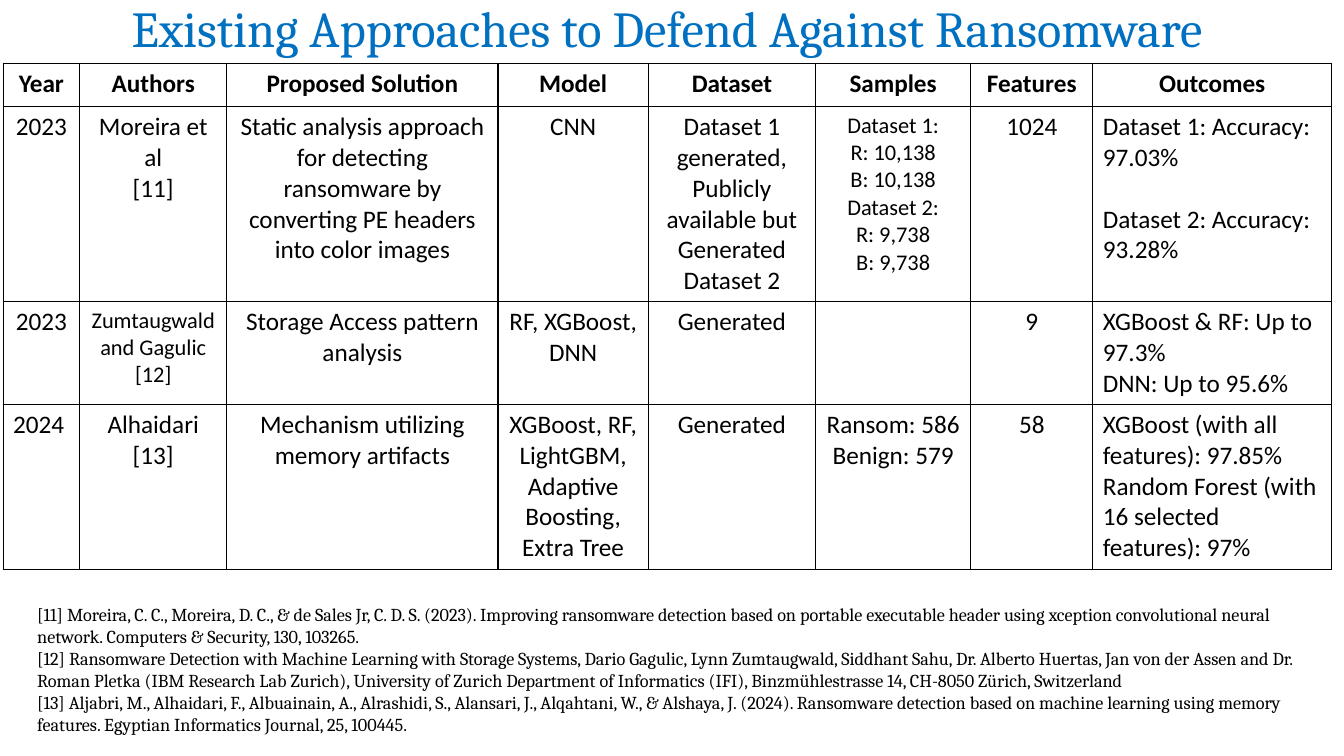
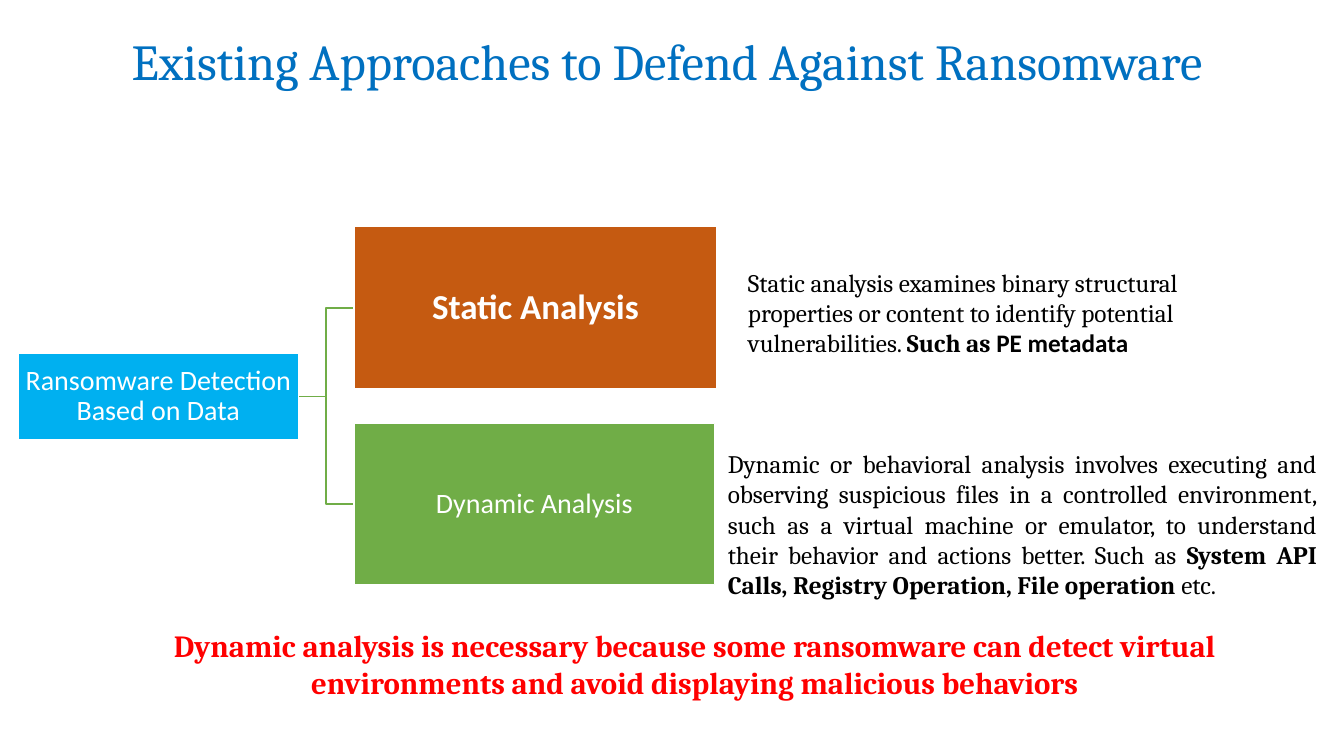
from lxml import etree
from pptx import Presentation
from pptx.dml.color import RGBColor
from pptx.enum.shapes import MSO_CONNECTOR, MSO_SHAPE
from pptx.enum.text import MSO_ANCHOR, PP_ALIGN
from pptx.oxml.ns import qn
from pptx.util import Emu, Inches, Pt

LEFT, CENTER, JUSTIFY = PP_ALIGN.LEFT, PP_ALIGN.CENTER, PP_ALIGN.JUSTIFY
TOP, MIDDLE, BOTTOM = MSO_ANCHOR.TOP, MSO_ANCHOR.MIDDLE, MSO_ANCHOR.BOTTOM
ELBOW, RECT = MSO_CONNECTOR.ELBOW, MSO_SHAPE.RECTANGLE

BLACK, WHITE, RED = "000000", "FFFFFF", "FF0000"
BLUE, SKY, ORANGE, GREEN = "0070C0", "00B0F0", "C55A11", "70AD47"
SERIF, SANS = "Cambria", "Calibri"
TITLE = "Existing Approaches to Defend Against Ransomware"

prs = Presentation()
prs.slide_width, prs.slide_height = Inches(13.33), Inches(7.5)


def area(*shares):
    """Turn percentages of the slide's width and height into lengths."""
    sides = (prs.slide_width, prs.slide_height) * 2
    return [Emu(round(share * side / 100)) for share, side in zip(shares, sides)]


def write(tf, paras, size, font=SERIF, color=BLACK, align=LEFT, bold=False,
          anchor=TOP, spacing=None):
    """Fill a text frame; a paragraph is a string or a list of (text, bold, font)."""
    tf.word_wrap = True
    tf.vertical_anchor = anchor
    for i, para in enumerate(paras):
        p = tf.paragraphs[0] if i == 0 else tf.add_paragraph()
        p.alignment = align
        p.line_spacing = spacing
        runs = [(para, bold, font)] if isinstance(para, str) else para
        for text, run_bold, run_font in runs:
            r = p.add_run()
            r.text = text
            r.font.bold, r.font.name = run_bold, run_font
        p.font.size = Pt(size)
        for r in p.runs:
            r.font.size = Pt(size)
            r.font.color.rgb = RGBColor.from_string(color)


# Both slides: title only, at its own height
slides = []
for title_top in (0, 4.4):
    s = prs.slides.add_slide(prs.slide_layouts[6])
    tf = s.shapes.add_textbox(*area(3.53, title_top, 92.2, 8.4)).text_frame
    write(tf, [TITLE], 36, color=BLUE, align=CENTER, anchor=BOTTOM, spacing=0.9)
    slides.append(s)
table_slide, tree_slide = slides

# Table of approaches: one list of paragraphs per cell
cols = [5.7, 10.95, 20.18, 11.18, 12.45, 11.55, 9.08, 17.78]
rows = [5.73, 25.8, 13.6, 21.8]
cells = [
    [["Year"], ["Authors"], ["Proposed Solution"], ["Model"], ["Dataset"],
     ["Samples"], ["Features"], ["Outcomes"]],
    [["2023"], ["Moreira et al", "[11]"],
     ["Static analysis approach for detecting ransomware by converting PE headers "
      "into color images"],
     ["CNN"],
     ["Dataset 1 generated, Publicly available but Generated Dataset 2"],
     ["Dataset 1:", "R: 10,138", "B: 10,138", "Dataset 2:", "R: 9,738", "B: 9,738"],
     ["1024"],
     ["Dataset 1: Accuracy: 97.03%", "Dataset 2: Accuracy: 93.28%"]],
    [["2023"], ["Zumtaugwald and Gagulic [12]"], ["Storage Access pattern analysis"],
     ["RF, XGBoost,", "DNN"], ["Generated"], [], ["9"],
     ["XGBoost & RF: Up to 97.3%", "DNN: Up to 95.6%"]],
    [["2024"], ["Alhaidari", "[13]"], ["Mechanism utilizing memory artifacts"],
     ["XGBoost, RF, LightGBM, Adaptive Boosting, Extra Tree"], ["Generated"],
     ["Ransom: 586", "Benign: 579"], ["58"],
     ["XGBoost (with all features): 97.85%",
      "Random Forest (with 16 selected features): 97%"]],
]
small = {(1, 5), (2, 1)}
left_aligned = {(1, 7), (2, 7), (3, 7), (3, 0)}

table = table_slide.shapes.add_table(
    len(rows), len(cols), *area(0.23, 8.4, sum(cols), sum(rows))).table
table.first_row = table.horz_banding = False
for col, share in zip(table.columns, cols):
    col.width = area(share)[0]
for row, share in zip(table.rows, rows):
    row.height = area(0, share)[1]
for i, row_cells in enumerate(cells):
    for j, paras in enumerate(row_cells):
        cell = table.cell(i, j)
        write(cell.text_frame, paras, 16 if (i, j) in small else 18, SANS,
              align=LEFT if (i, j) in left_aligned else CENTER, bold=i == 0)
        tcPr = cell._tc.get_or_add_tcPr()
        for side in ("a:lnL", "a:lnR", "a:lnT", "a:lnB"):
            ln = etree.SubElement(tcPr, qn(side), w=str(Pt(1)))
            fill = etree.SubElement(ln, qn("a:solidFill"))
            etree.SubElement(fill, qn("a:srgbClr"), val=BLACK)
        cell.fill.background()
# One line of room between the two data sets' outcomes
table.cell(1, 7).text_frame.paragraphs[1].space_before = Pt(22)

# References
tf = table_slide.shapes.add_textbox(*area(2.03, 79.2, 97.97, 18.8)).text_frame
write(tf, [
    "[11] Moreira, C. C., Moreira, D. C., & de Sales Jr, C. D. S. (2023). Improving "
    "ransomware detection based on portable executable header using xception "
    "convolutional neural network. Computers & Security, 130, 103265.",
    "[12] Ransomware Detection with Machine Learning with Storage Systems, Dario "
    "Gagulic, Lynn Zumtaugwald, Siddhant Sahu, Dr. Alberto Huertas, Jan von der Assen "
    "and Dr. Roman Pletka (IBM Research Lab Zurich), University of Zurich Department "
    "of Informatics (IFI), Binzmühlestrasse 14, CH-8050 Zürich, Switzerland",
    "[13] Aljabri, M., Alhaidari, F., Albuainain, A., Alrashidi, S., Alansari, J., "
    "Alqahtani, W., & Alshaya, J. (2024). Ransomware detection based on machine "
    "learning using memory features. Egyptian Informatics Journal, 25, 100445.",
], 13)

# Tree: elbow lines from the root to each branch
for branch_middle in (66.67, 40.73):
    line = tree_slide.shapes.add_connector(
        ELBOW, *area(22.2, 52.47, 26.33, branch_middle))
    line.line.color.rgb = RGBColor.from_string(GREEN)
    line.line.width = Pt(1)
    etree.SubElement(line._element.spPr, qn("a:effectLst"))

# Tree: root and branches
for text, at, fill, size, bold in (
    ("Ransomware Detection Based on Data", (1.35, 46.8, 20.86, 11.33), SKY, 20, False),
    ("Static Analysis", (26.33, 30, 27.01, 21.47), ORANGE, 25, True),
    ("Dynamic Analysis", (26.33, 56, 26.86, 21.33), GREEN, 20, False),
):
    sp = tree_slide.shapes.add_shape(RECT, *area(*at))
    sp.shadow.inherit = False
    sp.fill.solid()
    sp.fill.fore_color.rgb = RGBColor.from_string(fill)
    sp.line.color.rgb = RGBColor.from_string(WHITE)
    sp.line.width = Pt(1)
    tf = sp.text_frame
    tf.margin_left = tf.margin_right = tf.margin_top = tf.margin_bottom = Inches(0.01)
    write(tf, [text], size, SANS, WHITE, CENTER, bold, MIDDLE, 0.9)

# Explanations beside the branches, and the conclusion
static_note = [
    ("Static analysis examines binary structural properties or content to identify "
     "potential vulnerabilities. ", False, SERIF),
    ("Such as ", True, SERIF),
    ("PE metadata", True, SANS),
]
dynamic_note = [
    ("Dynamic or behavioral analysis involves executing and observing suspicious files "
     "in a controlled environment, such as a virtual machine or emulator, to understand "
     "their behavior and actions better. Such as ", False, SERIF),
    ("System API Calls, Registry Operation, File operation", True, SERIF),
    (" etc.", False, SERIF),
]
conclusion = ("Dynamic analysis is necessary because some ransomware can detect virtual "
              "environments and avoid displaying malicious behaviors")
for para, at, size, color, align in (
    (static_note, (54.91, 34.67, 37.73, 13.47), 18, BLACK, LEFT),
    (dynamic_note, (53.41, 58.67, 45.31, 21.6), 18, BLACK, JUSTIFY),
    (conclusion, (7.65, 82.27, 88.07, 15.2), 22, RED, CENTER),
):
    tf = tree_slide.shapes.add_textbox(*area(*at)).text_frame
    write(tf, [para], size, color=color, align=align, bold=para is conclusion)

prs.save("out.pptx")
